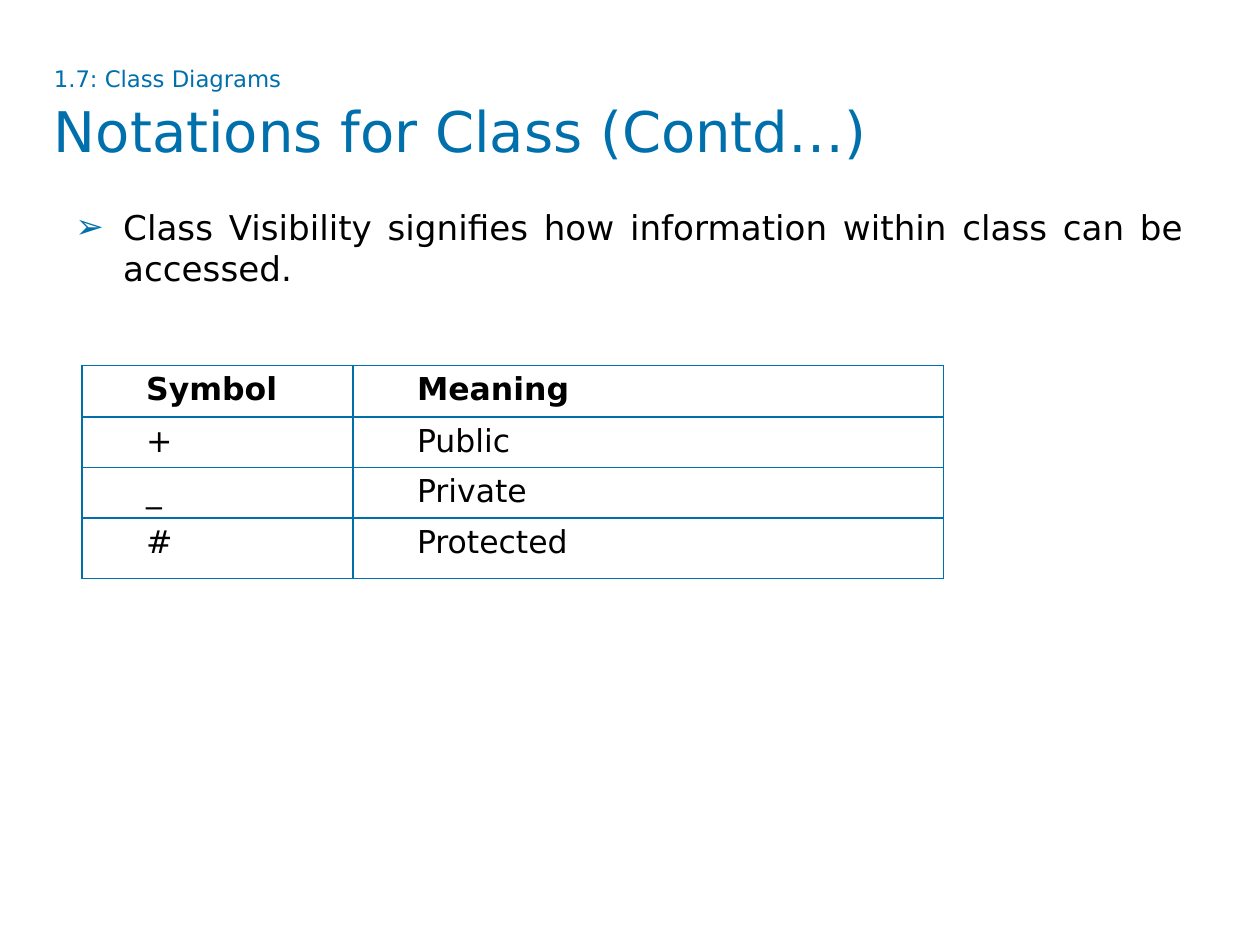
from lxml import etree
from pptx import Presentation
from pptx import util as u
from pptx.dml.color import RGBColor
from pptx.enum import text
from pptx.oxml import ns

COLORS = {"blue": "0070AD", "black": "000000"}
FONT = "DejaVu Sans"


def style(r, size, color, bold=False):
    r.font.name = FONT
    r.font.size = u.Pt(size)
    r.font.bold = bold
    r.font.color.rgb = RGBColor.from_string(COLORS[color])


def add(parent, tag, **attrs):
    return etree.SubElement(parent, ns.qn(tag), **attrs)


prs = Presentation()
prs.slide_width, prs.slide_height = u.Inches(10), u.Inches(7.5)
s = prs.slides.add_slide(prs.slide_layouts[6])

# Section label and title
sp = s.shapes.add_textbox(u.Inches(0.33), u.Inches(0.45), u.Inches(9.33), u.Inches(0.94))
tf = sp.text_frame
tf.word_wrap = True
p = tf.paragraphs[0]
p.text = "1.7: Class Diagrams\vNotations for Class (Contd…)"
p.line_spacing = 1.07
for r, size in zip(p.runs, (13, 32)):
    style(r, size, "blue")
add(p._p.find(ns.qn("a:br")), "a:rPr", sz="1300")

# Visibility table
rows = [("Symbol", "Meaning"), ("+", "Public"), ("_", "Private"), ("#", "Protected")]
widths = [2.15, 4.69]
heights = [0.41, 0.4, 0.39, 0.48]
frame = s.shapes.add_table(len(rows), len(widths), u.Inches(0.65), u.Inches(2.9),
                           u.Inches(sum(widths)), u.Inches(sum(heights)))
table = frame.table
table.first_row = table.horz_banding = False
for column, width in zip(table.columns, widths):
    column.width = u.Inches(width)
for i, (values, height) in enumerate(zip(rows, heights)):
    table.rows[i].height = u.Inches(height)
    for j, value in enumerate(values):
        cell = table.cell(i, j)
        cell.margin_left = cell.margin_right = u.Inches(0.51)
        p = cell.text_frame.paragraphs[0]
        p.text = value
        style(p.runs[0], 18, "black", bold=i == 0)
        # Cell borders come before the fill
        for side in ("a:lnL", "a:lnR", "a:lnT", "a:lnB"):
            ln = add(cell._tc.get_or_add_tcPr(), side, w=str(u.Pt(1)))
            add(add(ln, "a:solidFill"), "a:srgbClr", val=COLORS["blue"])
        cell.fill.background()

# Bullet text
sp = s.shapes.add_textbox(u.Inches(0.5), u.Inches(1.59), u.Inches(9), u.Inches(4.95))
tf = sp.text_frame
tf.word_wrap = True
p = tf.paragraphs[0]
p.text = "Class Visibility signifies how information within class can be accessed."
p.alignment = text.PP_ALIGN.JUSTIFY
p.space_before = u.Pt(7.5)
style(p.runs[0], 19.5, "black")
pPr = p._p.get_or_add_pPr()
pPr.set("marL", str(u.Inches(0.38)))
pPr.set("indent", str(u.Inches(-0.38)))
add(add(pPr, "a:buClr"), "a:srgbClr", val=COLORS["blue"])
add(pPr, "a:buFont", typeface=FONT)
add(pPr, "a:buChar", char="➢")

prs.save("out.pptx")
